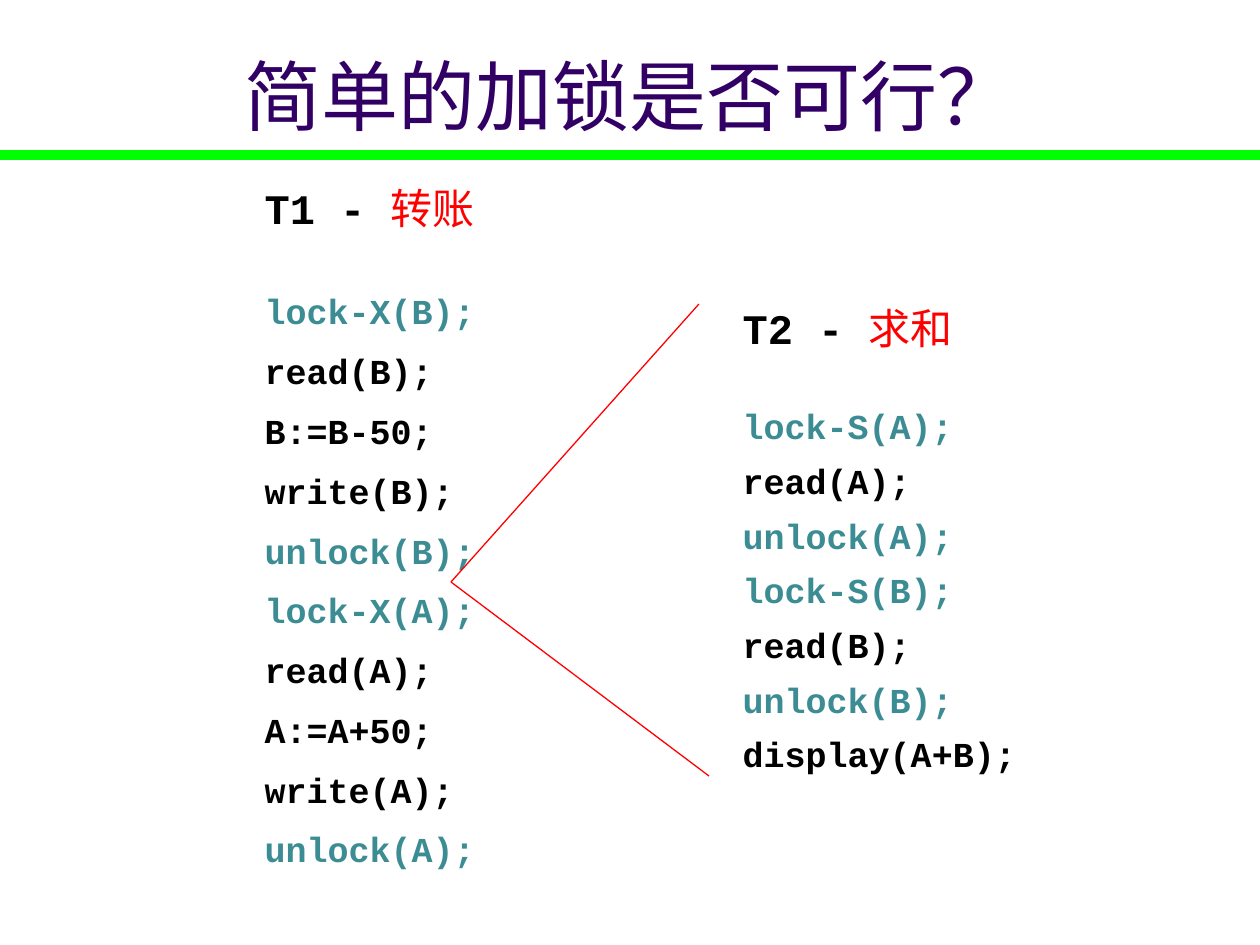
from lxml.etree import SubElement
from pptx import Presentation
from pptx.dml.color import RGBColor
from pptx.enum.shapes import MSO_CONNECTOR
from pptx.enum.text import MSO_ANCHOR, PP_ALIGN
from pptx.oxml.ns import qn
from pptx.util import Emu, Pt

PX = 914400 / 126
BLACK = RGBColor(0x00, 0x00, 0x00)
RED = RGBColor(0xFF, 0x00, 0x00)
GREEN = RGBColor(0x00, 0xFF, 0x00)
TEAL = RGBColor(0x3C, 0x8C, 0x93)
PURPLE = RGBColor(0x32, 0x00, 0x64)
CODE_FONT = "Courier New"
CHINESE_FONT = "Noto Sans CJK SC"


def px(length):
    return Emu(round(length * PX))


def write(paragraph, text, size=20, color=BLACK, font=CODE_FONT, bold=True):
    run = paragraph.add_run()
    run.text = text
    run.font.size = Pt(size)
    run.font.bold = bold
    run.font.color.rgb = color
    run.font.name = font
    SubElement(run.font._element, qn("a:ea")).set("typeface", font)


prs = Presentation()
prs.slide_width, prs.slide_height = px(1260), px(945)
slide = prs.slides.add_slide(prs.slide_layouts[6])

# Transactions: name, operation, position, size, steps
HEADER_HEIGHT = 113
transactions = [
    ("T1 - ", "转账", 252, 169, 307, 711,
     ["lock-X(B);", "read(B);", "B:=B-50;", "write(B);", "unlock(B);",
      "lock-X(A);", "read(A);", "A:=A+50;", "write(A);", "unlock(A);"]),
    ("T2 - ", "求和", 730, 289, 328, 496,
     ["lock-S(A);", "read(A);", "unlock(A);", "lock-S(B);", "read(B);",
      "unlock(B);", "display(A+B);"]),
]
for name, operation, left, top, width, height, steps in transactions:
    schedule = slide.shapes.add_table(
        len(steps) + 1, 1, px(left), px(top), px(width), px(height)).table
    schedule.first_row = schedule.horz_banding = False
    for row in schedule.rows:
        row.height = px((height - HEADER_HEIGHT) / len(steps))
        row.cells[0].fill.background()
        row.cells[0].vertical_anchor = MSO_ANCHOR.BOTTOM
    schedule.rows[0].height = px(HEADER_HEIGHT)

    header = schedule.cell(0, 0)
    header.vertical_anchor = MSO_ANCHOR.TOP
    heading = header.text_frame.paragraphs[0]
    write(heading, name, size=24)
    write(heading, operation, size=24, color=RED, font=CHINESE_FONT, bold=False)
    for number, step in enumerate(steps, start=1):
        write(schedule.cell(number, 0).text_frame.paragraphs[0], step,
              color=TEAL if "lock" in step else BLACK)

# Title
title = slide.shapes.add_textbox(px(63), px(16), px(1134), px(158)).text_frame
title.word_wrap = True
title.vertical_anchor = MSO_ANCHOR.MIDDLE
title.paragraphs[0].alignment = PP_ALIGN.CENTER
write(title.paragraphs[0], "简单的加锁是否可行？", size=44, color=PURPLE,
      font=CHINESE_FONT, bold=False)

# Title rule, and the two lines showing where T2 runs inside T1
for x1, y1, x2, y2, color, weight in [
    (0, 155, 1260, 155, GREEN, 6.25),
    (699, 304, 451, 582, RED, 0.75),
    (709, 776, 451, 582, RED, 0.75),
]:
    line = slide.shapes.add_connector(
        MSO_CONNECTOR.STRAIGHT, px(x1), px(y1), px(x2), px(y2))
    line.line.color.rgb = color
    line.line.width = Pt(weight)
    SubElement(line._element.spPr, qn("a:effectLst"))

prs.save("out.pptx")
